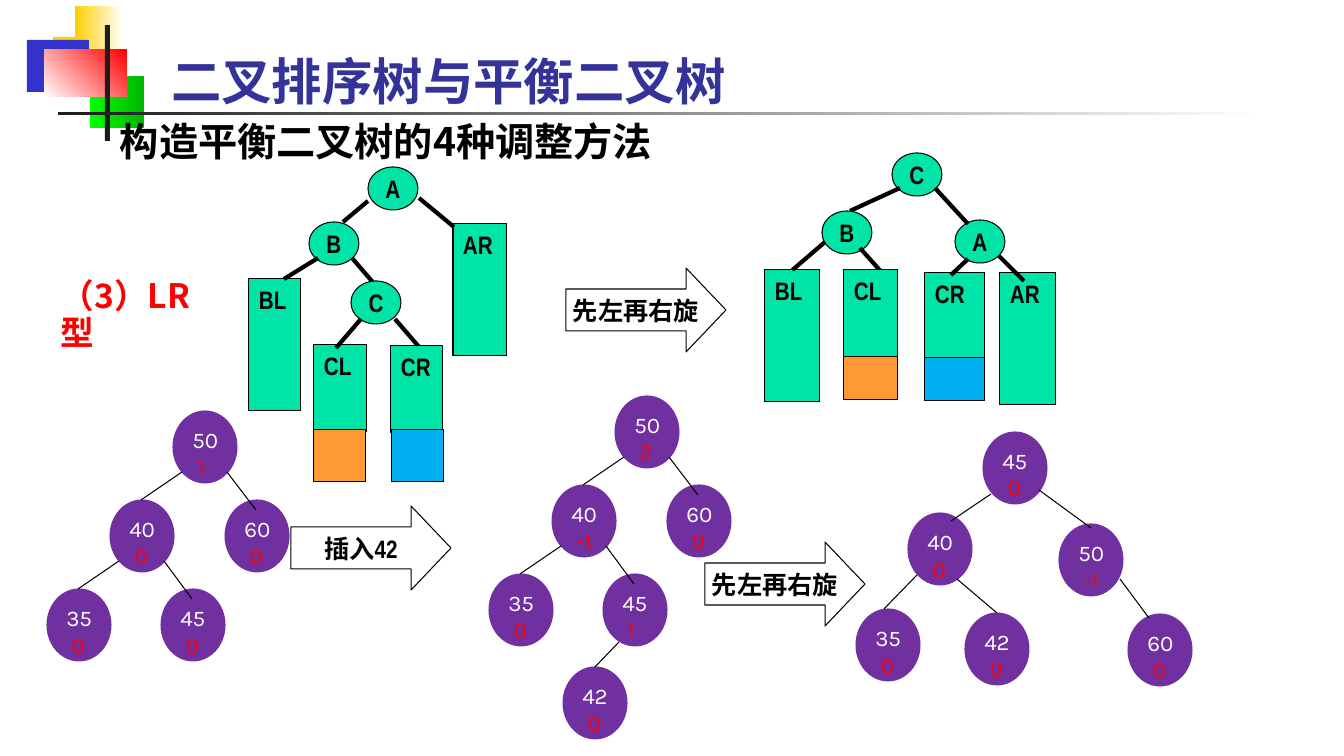
from pptx import Presentation
from pptx.dml.color import RGBColor
from pptx.enum.shapes import MSO_CONNECTOR, MSO_SHAPE
from pptx.enum.text import MSO_ANCHOR, MSO_AUTO_SIZE, PP_ALIGN
from pptx.oxml.ns import qn
from pptx.util import Emu, Pt

PX = 914400 / 100.8
LATIN, CJK, DIGITS = "Arial Narrow", "Noto Sans CJK SC", "Karla"
COLORS = {
    "black": "000000", "white": "FFFFFF", "title": "333399", "red": "FF0000",
    "subtree": "00E4A8", "node": "7030A0", "left_leaf": "FF9933",
    "right_leaf": "00B0F0", "yellow": "FFCF01", "blue": "3333CC",
    "lime": "00FF00", "green": "00B600", "ink": "1C1C1C",
}
NODE_W, NODE_H = 64, 72
LETTER_W, LETTER_H = 50, 43


def px(length):
    return Emu(round(length * PX))


def rgb(name):
    return RGBColor.from_string(COLORS[name])


def write(paragraph, text, size=18, font=LATIN, color="black", bold=True, align=PP_ALIGN.LEFT):
    paragraph.alignment = align
    run = paragraph.add_run()
    run.text = text
    run.font.size = Pt(size)
    run.font.bold = bold
    run.font.color.rgb = rgb(color)
    run.font.name = font
    east_asian = run._r.get_or_add_rPr().makeelement(qn("a:ea"), {"typeface": CJK})
    run._r.get_or_add_rPr().append(east_asian)


def place(shape, left, top, width, height):
    shape.left, shape.top, shape.width, shape.height = map(px, (left, top, width, height))


def add_block(slide, kind, box, fill, line=None, fade_to=None, angle=0):
    """Preset shape; fade_to turns the fill into a two-colour gradient."""
    block = slide.shapes.add_shape(kind, *map(px, box))
    block.shadow.inherit = False
    if fade_to:
        block.fill.gradient()
        block.fill.gradient_angle = angle
        for stop, color in zip(block.fill.gradient_stops, (fill, fade_to)):
            stop.color.rgb = rgb(color)
    else:
        block.fill.solid()
        block.fill.fore_color.rgb = rgb(fill)
    if line:
        block.line.color.rgb = rgb(line)
        block.line.width = Pt(0.75)
    else:
        block.line.fill.background()
    return block


def add_edge(slide, start, end, width):
    edge = slide.shapes.add_connector(MSO_CONNECTOR.STRAIGHT, *map(px, (*start, *end)))
    edge.line.color.rgb = rgb("black")
    edge.line.width = Pt(width)
    properties = edge._element.spPr
    properties.append(properties.makeelement(qn("a:effectLst"), {}))
    return edge


def add_centred_label(block, text):
    frame = block.text_frame
    frame.word_wrap = False
    frame.vertical_anchor = MSO_ANCHOR.MIDDLE
    write(frame.paragraphs[0], text, align=PP_ALIGN.CENTER)


def add_step_arrow(slide, left, top, label):
    arrow = add_block(slide, MSO_SHAPE.RIGHT_ARROW, (left, top, 160, 84), "white", "black")
    arrow.adjustments[0], arrow.adjustments[1] = 0.5, 0.475
    add_centred_label(arrow, label)


def add_leaf(slide, box, fill):
    add_block(slide, MSO_SHAPE.RECTANGLE, box, fill, "black")


def add_letter_tree(slide, letters, subtrees, edges):
    """An edge may end at a point or at the top of a named subtree."""
    boxes = {}
    for label, left, top in letters:
        letter = add_block(slide, MSO_SHAPE.OVAL, (left, top, LETTER_W, LETTER_H), "subtree", "black")
        add_centred_label(letter, label)
    for label, *box in subtrees:
        boxes[label] = add_block(slide, MSO_SHAPE.RECTANGLE, box, "subtree", "black")
        frame = boxes[label].text_frame
        frame.word_wrap = True
        frame.vertical_anchor = MSO_ANCHOR.TOP
        write(frame.paragraphs[0], label)
    for start, end in edges:
        if end in boxes:
            add_edge(slide, start, start, 3).end_connect(boxes[end], 0)
        else:
            add_edge(slide, start, end, 3)


def add_number_tree(slide, nodes, edges):
    for value, balance, left, top in nodes:
        node = add_block(slide, MSO_SHAPE.OVAL, (left, top, NODE_W, NODE_H), "node", "node")
        frame = node.text_frame
        frame.word_wrap = False
        frame.vertical_anchor = MSO_ANCHOR.TOP
        write(frame.paragraphs[0], str(value), size=16, font=DIGITS, color="white", bold=False)
        write(frame.add_paragraph(), f" {balance}", size=16, font=DIGITS, color="red", bold=False)
    for start, end in edges:
        add_edge(slide, start, end, 0.75)


def add_five_node_tree(slide, left, top, balances):
    """Tree 50 / 40, 60 / 35, 45, placed by the top left of its root."""
    offsets = {50: (0, 0), 40: (-63, 89), 60: (52, 89), 35: (-126, 178), 45: (-12, 178)}
    spots = {value: (left + dx, top + dy) for value, (dx, dy) in offsets.items()}
    edges = []
    for parent, left_child, right_child in ((50, 40, 60), (40, 35, 45)):
        for child, start_dx, end_dy in ((left_child, 9, 0), (right_child, 54, 10)):
            (x, y), (child_x, child_y) = spots[parent], spots[child]
            edges.append(((x + start_dx, y + 61), (child_x + 31, child_y + end_dy)))
    nodes = [(value, balance, *spots[value]) for value, balance in zip(spots, balances)]
    add_number_tree(slide, nodes, edges)


def add_corner_ornament(slide):
    for box, fill, fade_to, angle in (
        ((53, 37, 65, 52), "yellow", None, 0),
        ((75, 6, 48, 52), "yellow", "white", 0),
        ((27, 40, 62, 52), "blue", None, 0),
        ((90, 76, 54, 52), "lime", "green", 0),
        ((44, 50, 83, 47), "white", "red", 45),
        ((105, 25, 5, 116), "ink", None, 0),
        ((58, 112, 1209, 3), "ink", "white", 0),
    ):
        add_block(slide, MSO_SHAPE.RECTANGLE, box, fill, fade_to=fade_to, angle=angle)


def add_headings(slide):
    title = slide.shapes.title
    place(title, 161, 45, 714, 71)
    title.text_frame.auto_size = MSO_AUTO_SIZE.NONE
    title.text_frame.vertical_anchor = MSO_ANCHOR.MIDDLE
    write(title.text_frame.paragraphs[0], "二叉排序树与平衡二叉树", size=36, color="title")

    methods = slide.shapes.add_textbox(*map(px, (110, 98, 1016, 130))).text_frame
    methods.word_wrap = True
    methods.margin_top = px(19)
    write(methods.paragraphs[0], "构造平衡二叉树的4种调整方法", size=28, font=CJK)

    rotation = slide.shapes.add_textbox(*map(px, (51, 275, 173, 50))).text_frame
    rotation.word_wrap = True
    rotation.paragraphs[0].line_spacing = 0.9
    write(rotation.paragraphs[0], "（3）LR型", size=24, font=CJK, color="red")


def add_rotation_scheme(slide):
    add_letter_tree(
        slide,
        [("A", 368, 167), ("B", 309, 222)],
        [("BL", 249, 279, 52, 132), ("AR", 453, 224, 54, 132), ("CL", 314, 345, 53, 87)],
        [((368, 201), (343, 222)), ((419, 198), (454, 227)),
         ((318, 258), (284, 279)), ((352, 258), (377, 287))])
    add_leaf(slide, (314, 430, 52, 52), "left_leaf")
    add_letter_tree(slide, [("C", 351, 281)], [], [((361, 319), (336, 348)), ((395, 319), (420, 348))])
    add_letter_tree(slide, [], [("CR", 391, 346, 52, 87)], [])
    add_leaf(slide, (392, 430, 52, 52), "right_leaf")

    add_step_arrow(slide, 566, 268, "先左再右旋")

    add_letter_tree(
        slide,
        [("A", 955, 220), ("C", 892, 153)],
        [("AR", 1000, 273, 56, 132), ("CR", 925, 273, 60, 87)],
        [((900, 188), (850, 211)), ((935, 188), (968, 224)),
         ((968, 259), (951, 275)), ((999, 256), (1024, 281))])
    add_letter_tree(
        slide,
        [("B", 822, 211)],
        [("BL", 765, 270, 55, 132)],
        [((825, 242), "BL"), ((860, 248), (885, 276))])
    add_letter_tree(slide, [], [("CL", 844, 270, 54, 87)], [])
    add_leaf(slide, (844, 357, 54, 43), "left_leaf")
    add_leaf(slide, (925, 358, 60, 43), "right_leaf")


def add_insertion_example(slide):
    add_five_node_tree(slide, 173, 411, (1, 0, 0, 0, 0))
    add_step_arrow(slide, 291, 506, "插入42")
    add_five_node_tree(slide, 615, 396, (2, -1, 0, 0, 1))
    add_number_tree(slide, [(42, 0, 563, 667)], [((619, 642), (595, 667))])
    add_number_tree(
        slide,
        [(42, 0, 965, 613), (45, 0, 983, 432), (60, 0, 1128, 614),
         (40, 0, 908, 513), (50, -1, 1059, 524), (35, 0, 856, 609)],
        [((957, 579), (997, 613)), ((1120, 579), (1149, 618)), ((991, 494), (951, 521)),
         ((1039, 490), (1091, 528)), ((917, 575), (884, 609))])
    add_step_arrow(slide, 705, 542, "先左再右旋")


def main():
    deck = Presentation()
    deck.slide_width, deck.slide_height = px(1344), px(756)
    slide = deck.slides.add_slide(deck.slide_layouts[5])
    add_corner_ornament(slide)
    add_headings(slide)
    add_rotation_scheme(slide)
    add_insertion_example(slide)
    deck.save("out.pptx")


if __name__ == "__main__":
    main()
